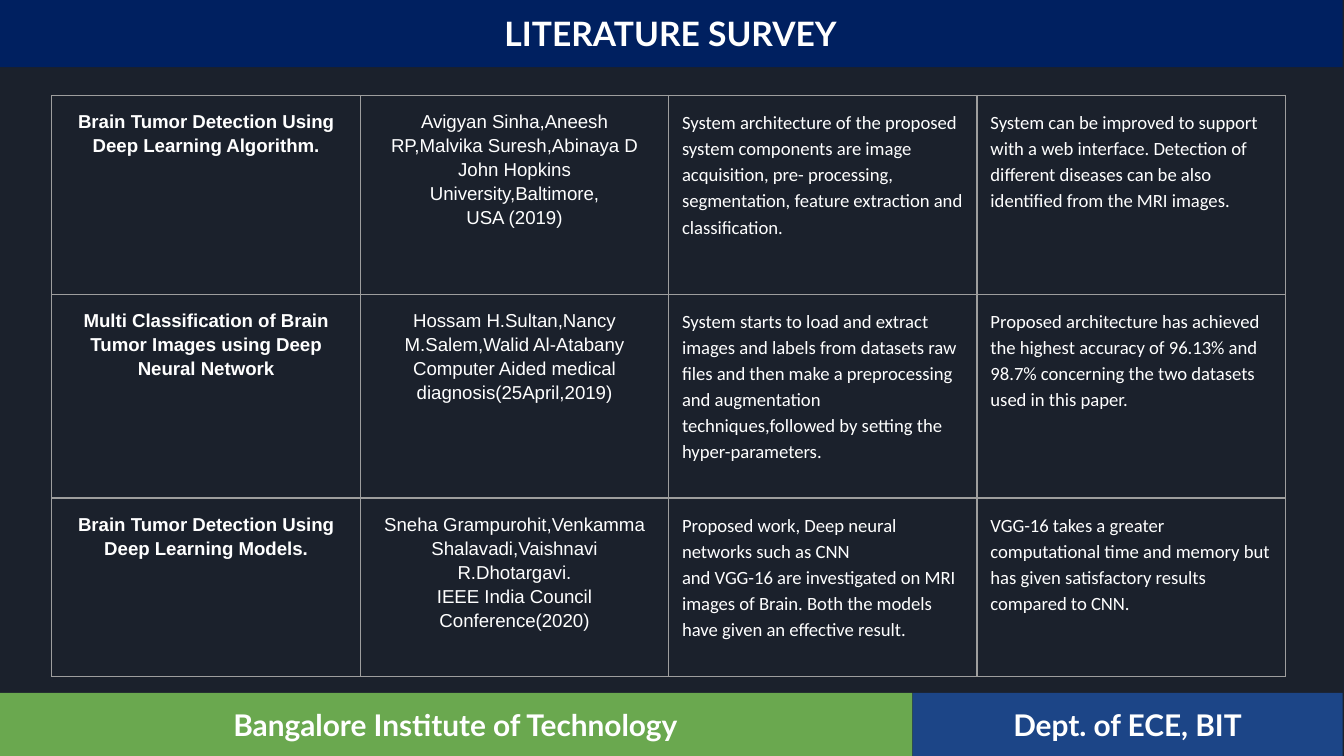
from lxml import etree
from pptx import Presentation
from pptx.dml.color import RGBColor
from pptx.enum.shapes import MSO_SHAPE
from pptx.enum.text import MSO_ANCHOR, PP_ALIGN
from pptx.oxml.ns import qn
from pptx.util import Pt

PX = 4572  # 200 px to the inch
RECTANGLE = MSO_SHAPE.RECTANGLE
MIDDLE = MSO_ANCHOR.MIDDLE
CENTER, LEFT = PP_ALIGN.CENTER, PP_ALIGN.LEFT
WHITE = "FFFFFF"
BORDER = "9E9E9E"
MARGIN = 20 * PX


def color(hex_string):
    return RGBColor.from_string(hex_string)


def add_borders(cell):
    properties = cell._tc.get_or_add_tcPr()
    # Border lines must come before the fill in the cell properties.
    for position, side in enumerate(("lnL", "lnR", "lnT", "lnB")):
        line = etree.Element(qn(f"a:{side}"), w=str(Pt(0.75)))
        fill = etree.SubElement(line, qn("a:solidFill"))
        etree.SubElement(fill, qn("a:srgbClr"), val=BORDER)
        properties.insert(position, line)


presentation = Presentation()
presentation.slide_width = 2000 * PX
presentation.slide_height = 1125 * PX
slide = presentation.slides.add_slide(presentation.slide_layouts[6])
slide.background.fill.solid()
slide.background.fill.fore_color.rgb = color("1B212C")

# Title and footer bars
bars = [
    ("LITERATURE SURVEY", -2, 0, 2000, 100, "002060", 18),
    ("Bangalore Institute of Technology", -2, 1031, 1360, 94, "6AA84F", 16),
    ("Dept. of ECE, BIT", 1358, 1031, 640, 94, "1C4587", 16),
]
for text, left, top, width, height, fill, size in bars:
    bar = slide.shapes.add_shape(RECTANGLE, left * PX, top * PX, width * PX, height * PX)
    bar.shadow.inherit = False
    bar.fill.solid()
    bar.fill.fore_color.rgb = color(fill)
    bar.line.fill.background()
    text_frame = bar.text_frame
    text_frame.word_wrap = True
    text_frame.vertical_anchor = MIDDLE
    text_frame.margin_left = text_frame.margin_right = MARGIN
    text_frame.margin_top = text_frame.margin_bottom = MARGIN
    text_frame.text = text
    paragraph = text_frame.paragraphs[0]
    paragraph.alignment = CENTER
    font = paragraph.runs[0].font
    font.name, font.size, font.bold = "Lato", Pt(size), True
    font.color.rgb = color(WHITE)

# Survey table: paper, authors and venue, method, findings
papers = [
    (
        "Brain Tumor Detection Using Deep Learning Algorithm.",
        "Avigyan Sinha,Aneesh RP,Malvika Suresh,Abinaya D\n"
        "John Hopkins University,Baltimore,\n"
        "USA (2019)",
        "System architecture of the proposed system components are image acquisition, "
        "pre- processing, segmentation, feature extraction and classification.",
        "System can be improved to support with a web interface. Detection of different "
        "diseases can be also identified from the MRI images.",
    ),
    (
        "Multi Classification of Brain Tumor Images using Deep Neural Network",
        "Hossam H.Sultan,Nancy M.Salem,Walid Al-Atabany\n"
        "Computer Aided medical diagnosis(25April,2019)",
        "System starts to load and extract images and labels from datasets raw files and "
        "then make a preprocessing and augmentation techniques,followed by setting the "
        "hyper-parameters.",
        "Proposed architecture has achieved the highest accuracy of 96.13% and 98.7% "
        "concerning the two datasets used in this paper.",
    ),
    (
        "Brain Tumor Detection Using Deep Learning Models.",
        "Sneha Grampurohit,Venkamma Shalavadi,Vaishnavi R.Dhotargavi.\n"
        "IEEE India Council Conference(2020)",
        "Proposed work, Deep neural networks such as CNN\n"
        "and VGG-16 are investigated on MRI images of Brain. Both the models have given "
        "an effective result.",
        "VGG-16 takes a greater computational time and memory but has given satisfactory "
        "results compared to CNN.",
    ),
]
column_styles = [
    ("Arial", True, CENTER),
    ("Arial", False, CENTER),
    ("Calibri", False, LEFT),
    ("Calibri", False, LEFT),
]
column_width = 459
row_heights = [296, 303, 266]

table = slide.shapes.add_table(
    len(papers), len(column_styles), 77 * PX, 142 * PX,
    column_width * len(column_styles) * PX, sum(row_heights) * PX,
).table
table.first_row = False
table.horz_banding = False
for column in table.columns:
    column.width = column_width * PX

for row, height, paper in zip(table.rows, row_heights, papers):
    row.height = height * PX
    for cell, text, (font_name, bold, alignment) in zip(row.cells, paper, column_styles):
        cell.fill.background()
        add_borders(cell)
        cell.margin_left = cell.margin_right = MARGIN
        cell.margin_top = cell.margin_bottom = MARGIN
        cell.text_frame.text = text
        for paragraph in cell.text_frame.paragraphs:
            paragraph.alignment = alignment
            paragraph.line_spacing = 1.15
            font = paragraph.runs[0].font
            font.name, font.size, font.bold = font_name, Pt(10), bold
            font.color.rgb = color(WHITE)

presentation.save("out.pptx")
